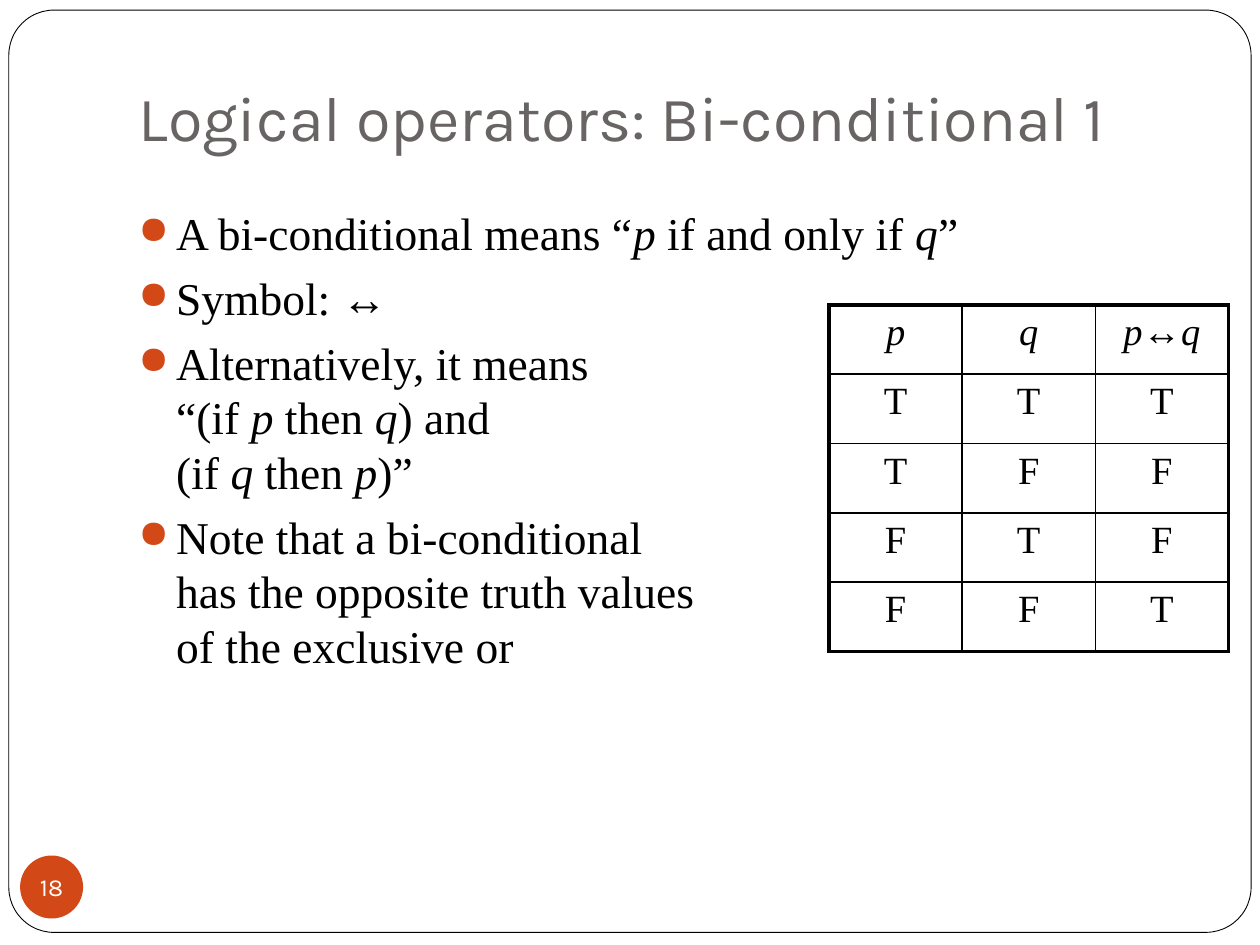
from typing import NamedTuple

from lxml import etree
from pptx import Presentation
from pptx.dml.color import RGBColor
from pptx.enum import shapes, text
from pptx.oxml import ns
from pptx.util import Inches, Pt

BLACK = RGBColor(0x00, 0x00, 0x00)
WHITE = RGBColor(0xFF, 0xFF, 0xFF)
GREY = RGBColor(0x69, 0x64, 0x64)
ORANGE = RGBColor(0xD3, 0x48, 0x17)

HEADING_FONT = "Karla"
BODY_FONT = "Times New Roman"
SPACE_BEFORE = 5.8
THIN, THICK = 1, 2.25


class Box(NamedTuple):
    left: float
    top: float
    width: float
    height: float

    def lengths(self) -> list:
        return [Inches(value) for value in self]


FRAME = Box(0.07, 0.08, 9.86, 7.32)
TITLE = Box(1, 0.3, 8.5, 1.25)
POINTS = Box(1, 1.58, 8.5, 5)
TRUTH_TABLE = Box(6.58, 2.42, 3.17, 2.75)
PAGE_NUMBER = Box(0.16, 6.79, 0.5, 0.5)

# Asterisks enclose italics; a newline is a line break.
BULLETS = [
    "A bi-conditional means “*p* if and only if *q*”",
    "Symbol: ↔",
    "Alternatively, it means \n“(if *p* then *q*) and \n(if *q* then *p*)”",
    "Note that a bi-conditional \nhas the opposite truth values \nof the exclusive or",
]
TRUTH_ROWS = [
    ["*p*", "*q*", "*p*↔*q*"],
    ["T", "T", "T"],
    ["T", "F", "F"],
    ["F", "T", "F"],
    ["F", "F", "T"],
]


def write(paragraph, content: str, *, size: float, font: str, color: RGBColor,
          align=text.PP_ALIGN.LEFT, before: float = 0) -> None:
    paragraph.alignment = align
    paragraph.space_before = Pt(before)
    for part, phrase in enumerate(content.split("*")):
        for line, words in enumerate(phrase.split("\n")):
            if line:
                paragraph.add_line_break()
            if words:
                run = paragraph.add_run()
                run.text = words
                run.font.size = Pt(size)
                run.font.name = font
                run.font.color.rgb = color
                run.font.italic = part % 2 == 1


def add_child(parent, tag: str, **attributes: str):
    return etree.SubElement(parent, ns.qn(tag), attributes)


def add_bullet(paragraph) -> None:
    properties = paragraph._p.get_or_add_pPr()
    properties.set("marL", str(Inches(0.3)))
    properties.set("indent", str(-Inches(0.3)))
    add_child(add_child(properties, "a:buClr"), "a:srgbClr", val=str(ORANGE))
    add_child(properties, "a:buSzPct", val="85000")
    add_child(properties, "a:buChar", char="●")


def set_borders(cell, **widths: float) -> None:
    """Draw solid black borders; the keywords are L, R, T and B, in points."""
    properties = cell._tc.get_or_add_tcPr()
    for side, width in widths.items():
        border = add_child(properties, f"a:ln{side}", w=str(Pt(width)))
        add_child(add_child(border, "a:solidFill"), "a:srgbClr", val=str(BLACK))


def add_panel(slide, preset, box: Box, fill: RGBColor):
    panel = slide.shapes.add_shape(preset, *box.lengths())
    panel.shadow.inherit = False
    panel.fill.solid()
    panel.fill.fore_color.rgb = fill
    return panel


def add_frame(slide) -> None:
    frame = add_panel(slide, shapes.MSO_SHAPE.ROUNDED_RECTANGLE, FRAME, WHITE)
    frame.adjustments[0] = 0.049
    frame.line.color.rgb = BLACK
    frame.line.width = Pt(0.5)
    slide.shapes.title.element.addprevious(frame.element)  # behind the title


def add_title(slide) -> None:
    title = slide.shapes.title
    title.left, title.top, title.width, title.height = TITLE.lengths()
    title.text_frame.auto_size = text.MSO_AUTO_SIZE.NONE
    title.text_frame.vertical_anchor = text.MSO_ANCHOR.MIDDLE
    write(title.text_frame.paragraphs[0], "Logical operators: Bi-conditional 1",
          size=36, font=HEADING_FONT, color=GREY)


def add_points(slide) -> None:
    frame = slide.shapes.add_textbox(*POINTS.lengths()).text_frame
    frame.word_wrap = True
    for index, point in enumerate(BULLETS):
        paragraph = frame.add_paragraph() if index else frame.paragraphs[0]
        write(paragraph, point, size=26, font=BODY_FONT, color=BLACK,
              before=SPACE_BEFORE)
        add_bullet(paragraph)


def add_truth_table(slide) -> None:
    row_count, column_count = len(TRUTH_ROWS), len(TRUTH_ROWS[0])
    table = slide.shapes.add_table(row_count, column_count,
                                   *TRUTH_TABLE.lengths()).table
    table.first_row = table.horz_banding = False
    for r, row in enumerate(TRUTH_ROWS):
        for c, value in enumerate(row):
            cell = table.cell(r, c)
            write(cell.text_frame.paragraphs[0], value, size=22, font=BODY_FONT,
                  color=BLACK, align=text.PP_ALIGN.CENTER, before=SPACE_BEFORE)
            set_borders(cell,
                        L=THICK if c == 0 else THIN,
                        R=THICK if c == column_count - 1 else THIN,
                        T=THICK if r == 0 else THIN,
                        B=THICK if r == row_count - 1 else THIN)
            cell.fill.background()


def add_page_number(slide) -> None:
    badge = add_panel(slide, shapes.MSO_SHAPE.OVAL, PAGE_NUMBER, ORANGE)
    badge.line.fill.background()
    frame = badge.text_frame
    frame.margin_left = frame.margin_right = 0
    frame.margin_top = frame.margin_bottom = 0
    frame.word_wrap = False
    frame.vertical_anchor = text.MSO_ANCHOR.MIDDLE
    write(frame.paragraphs[0], "18", size=14, font=HEADING_FONT, color=WHITE,
          align=text.PP_ALIGN.CENTER)


def main() -> None:
    deck = Presentation()
    deck.slide_width, deck.slide_height = Inches(10), Inches(7.5)
    slide = deck.slides.add_slide(deck.slide_layouts[5])
    add_frame(slide)
    add_title(slide)
    add_points(slide)
    add_truth_table(slide)
    add_page_number(slide)
    deck.save("out.pptx")


if __name__ == "__main__":
    main()
